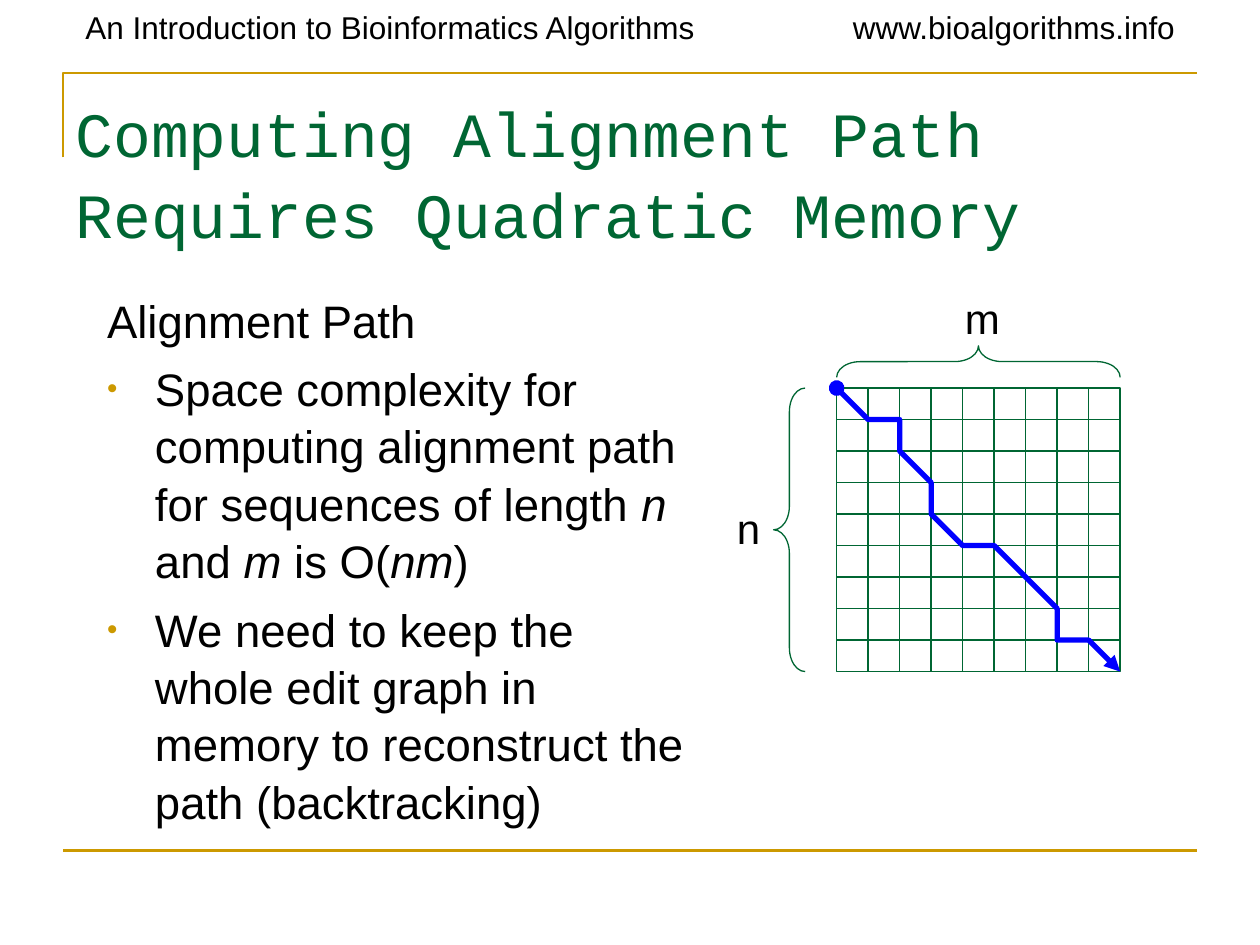
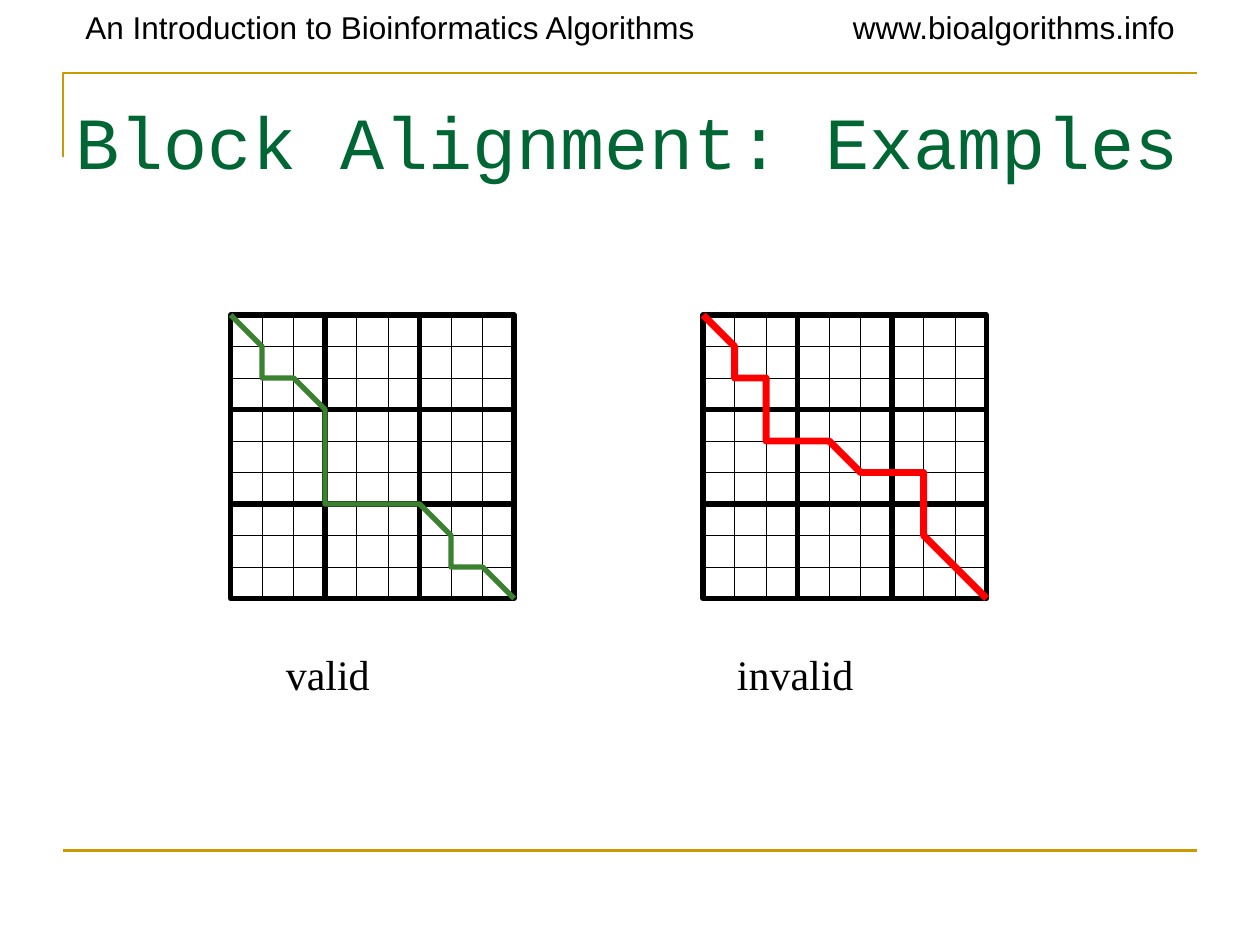
from collections import namedtuple
from dataclasses import dataclass

from lxml import etree
from pptx import Presentation
from pptx import util as u
from pptx.dml.color import RGBColor
from pptx.enum import shapes, text
from pptx.oxml import ns

Box = namedtuple("Box", "x y w h")


@dataclass(frozen=True)
class Theme:
    gold: str = "CC9900"
    green: str = "006633"
    black: str = "000000"
    blue: str = "0000FF"
    red: str = "FF0000"
    leaf: str = "3B812F"
    title_font: str = "Courier New"
    sans: str = "Arial"
    serif: str = "Times New Roman"
    header_pt: float = 18
    label_pt: float = 24
    body_pt: float = 26
    title_pt: float = 42
    long_title_pt: float = 36
    frame_pt: float = 1.5
    leading: float = 1.05


T = Theme()
CELLS = 9
BLOCKS = 3
MOVES = {"D": (1, 1), "R": (1, 0), "V": (0, 1)}
FRAME = Box(0.5, 0.58, 9, 6.17)


def place(sp, box):
    sp.left, sp.top, sp.width, sp.height = map(u.Inches, box)


def sub(parent, tag, **attrs):
    return etree.SubElement(parent, ns.qn(tag), attrs)


def stroke(sp, color, width):
    sp.line.color.rgb = RGBColor.from_string(color)
    sp.line.width = u.Pt(width)


def outline(sp, color, width):
    sp.shadow.inherit = False
    sp.fill.background()
    stroke(sp, color, width)
    return sp


def add_outline(s, kind, box, color, width):
    sp = s.shapes.add_shape(kind, *map(u.Inches, box))
    return outline(sp, color, width)


def add_line(s, start, end, color, width):
    ends = map(u.Inches, (*start, *end))
    cn = s.shapes.add_connector(shapes.MSO_CONNECTOR.STRAIGHT, *ends)
    stroke(cn, color, width)
    sub(cn._element.spPr, "a:effectLst")


def add_polyline(s, points, color, width):
    pts = [(u.Inches(x), u.Inches(y)) for x, y in points]
    fb = s.shapes.build_freeform(*pts[0])
    fb.add_line_segments(pts[1:], close=False)
    return outline(fb.convert_to_shape(), color, width)


def write(p, content, size, font=T.sans, color=T.black, italic=False,
          leading=T.leading):
    p.alignment = text.PP_ALIGN.LEFT
    p.line_spacing = leading
    r = p.add_run()
    r.text = content
    r.font.size = u.Pt(size)
    r.font.name = font
    r.font.italic = italic
    r.font.color.rgb = RGBColor.from_string(color)


def prepare(tf, top=0.05):
    tf.word_wrap = True
    tf.auto_size = text.MSO_AUTO_SIZE.NONE
    tf.vertical_anchor = text.MSO_ANCHOR.TOP
    tf.margin_left = tf.margin_right = u.Inches(0.1)
    tf.margin_top, tf.margin_bottom = u.Inches(top), u.Inches(0.05)


def add_label(s, content, box, size=T.label_pt, font=T.sans):
    tf = s.shapes.add_textbox(*map(u.Inches, box)).text_frame
    prepare(tf)
    write(tf.paragraphs[0], content, size, font)


def add_frame(s, box):
    x, y, w, h = box
    corner = [(x, y + 0.67), (x, y), (x + w, y)]
    add_polyline(s, corner, T.gold, T.frame_pt)
    add_line(s, (x, y + h), (x + w, y + h), T.gold, T.frame_pt)
    add_label(s, "An Introduction to Bioinformatics Algorithms",
              Box(x + 0.08, 0, 5.5, 0.4), T.header_pt)
    add_label(s, "www.bioalgorithms.info",
              Box(x + 6.17, 0, 2.92, 0.4), T.header_pt)


def add_slide(prs, layout, title, size):
    s = prs.slides.add_slide(prs.slide_layouts.get_by_name(layout))
    add_frame(s, FRAME)
    sp = s.shapes.title
    place(sp, FRAME._replace(h=0.97))
    prepare(sp.text_frame, top=0.13)
    write(sp.text_frame.paragraphs[0], title, size, T.title_font, T.green,
          leading=1.07)
    return s


def set_bullet(p, shown):
    pPr = p._p.get_or_add_pPr()
    pPr.set("marL", str(u.Inches(0.38)))
    pPr.set("indent", str(-u.Inches(0.38)))
    if shown:
        sub(sub(pPr, "a:buClr"), "a:srgbClr", val=T.gold)
        sub(pPr, "a:buSzPct", val="65000")
        sub(pPr, "a:buChar", char="•")
    else:
        sub(pPr, "a:buNone")


def fill_body(sp, box, heading, bullets):
    place(sp, box)
    tf = sp.text_frame
    prepare(tf)
    for i, runs in enumerate([[heading], *bullets]):
        p = tf.add_paragraph() if i else tf.paragraphs[0]
        set_bullet(p, shown=i > 0)
        p.space_before = u.Pt(6.5 if i else 0)
        for j, content in enumerate(runs):
            write(p, content, T.body_pt, italic=j % 2 == 1)


def add_grid(s, box, color, width):
    x, y, w, h = box
    add_outline(s, shapes.MSO_SHAPE.RECTANGLE, box, color, width)
    for i in range(1, CELLS):
        dx, dy = w * i / CELLS, h * i / CELLS
        add_line(s, (x + dx, y), (x + dx, y + h), color, width)
        add_line(s, (x, y + dy), (x + w, y + dy), color, width)


def add_blocks(s, box, color, width):
    w, h = box.w / BLOCKS, box.h / BLOCKS
    for row in range(BLOCKS):
        for col in range(BLOCKS):
            block = Box(box.x + col * w, box.y + row * h, w, h)
            add_outline(s, shapes.MSO_SHAPE.RECTANGLE, block, color, width)


def add_path(s, box, moves, color, width):
    col = row = 0
    points = [(box.x, box.y)]
    for move in moves:
        col, row = col + MOVES[move][0], row + MOVES[move][1]
        points.append((box.x + box.w * col / CELLS,
                       box.y + box.h * row / CELLS))
    return add_polyline(s, points, color, width)


def add_brace(s, box, rotation=0):
    sp = add_outline(s, shapes.MSO_SHAPE.LEFT_BRACE, box, T.green, 0.75)
    sp.adjustments[0] = 0.75
    sp.rotation = rotation


def add_edit_graph(s, box):
    x, y, w, h = box
    add_grid(s, box, T.green, 0.75)
    route = add_path(s, box, "DRVDVDRDDVRD", T.blue, 3)
    ln = route.line._get_or_add_ln()
    sub(ln, "a:headEnd", type="oval")
    sub(ln, "a:tailEnd", type="triangle")
    add_brace(s, Box(x - 0.5, y, 0.25, h))
    add_brace(s, Box(x + w / 2 - 0.125, y - 0.21 - w / 2, 0.25, w), 90)
    add_label(s, "n", Box(x - 0.89, y + 0.84, 0.31, 0.5))
    add_label(s, "m", Box(x + 0.92, y - 0.83, 0.5, 0.5))


def add_block_example(s, box, moves, color, width, caption, caption_dx):
    add_grid(s, box, T.black, 0.5)
    add_blocks(s, box, T.black, 3)
    add_path(s, box, moves, color, width)
    add_label(s, caption, Box(box.x + caption_dx, box.y + 2.58, 1.58, 0.5),
              font=T.serif)


def memory_slide(prs):
    s = add_slide(prs, "Title and Content",
                  "Computing Alignment Path Requires Quadratic Memory",
                  T.long_title_pt)
    fill_body(s.placeholders[1], Box(0.75, 2.25, 4.83, 4.33),
              "Alignment Path", [
        ["Space complexity for computing alignment path for sequences "
         "of length ", "n", " and ", "m", " is O(", "nm", ")"],
        ["We need to keep the whole edit graph in memory to reconstruct "
         "the path (backtracking)"],
    ])
    add_edit_graph(s, Box(6.64, 3.08, 2.25, 2.25))


def block_slide(prs):
    s = add_slide(prs, "Title Only", "Block Alignment: Examples", T.title_pt)
    valid = Box(1.83, 2.5, 2.25, 2.25)
    add_block_example(s, valid, "DVRDVVVRRRDVRD", T.leaf, 3, "valid", 0.34)
    add_block_example(s, valid._replace(x=5.58), "DVRVVRRDRRVVDD", T.red, 4,
                      "invalid", 0.17)


def main():
    prs = Presentation()
    prs.slide_width, prs.slide_height = u.Inches(10), u.Inches(7.5)
    memory_slide(prs)
    block_slide(prs)
    prs.save("out.pptx")


if __name__ == "__main__":
    main()
